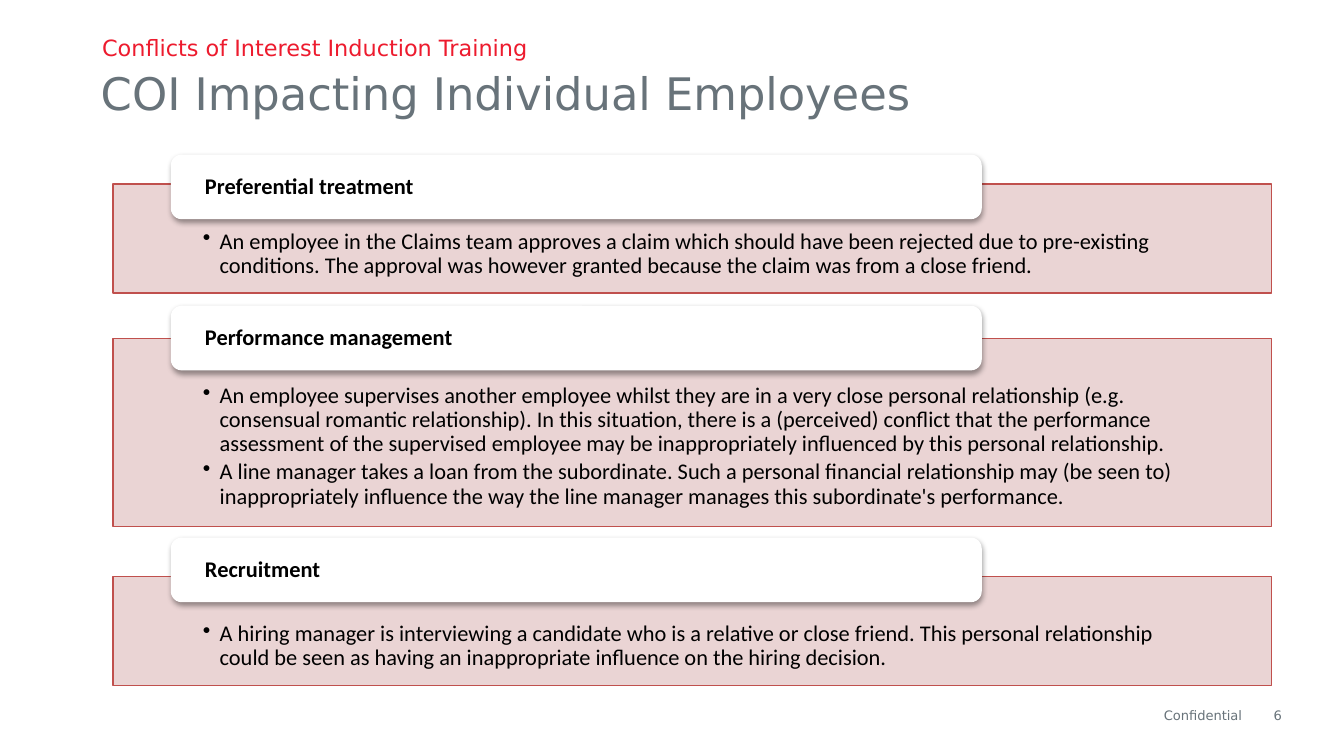
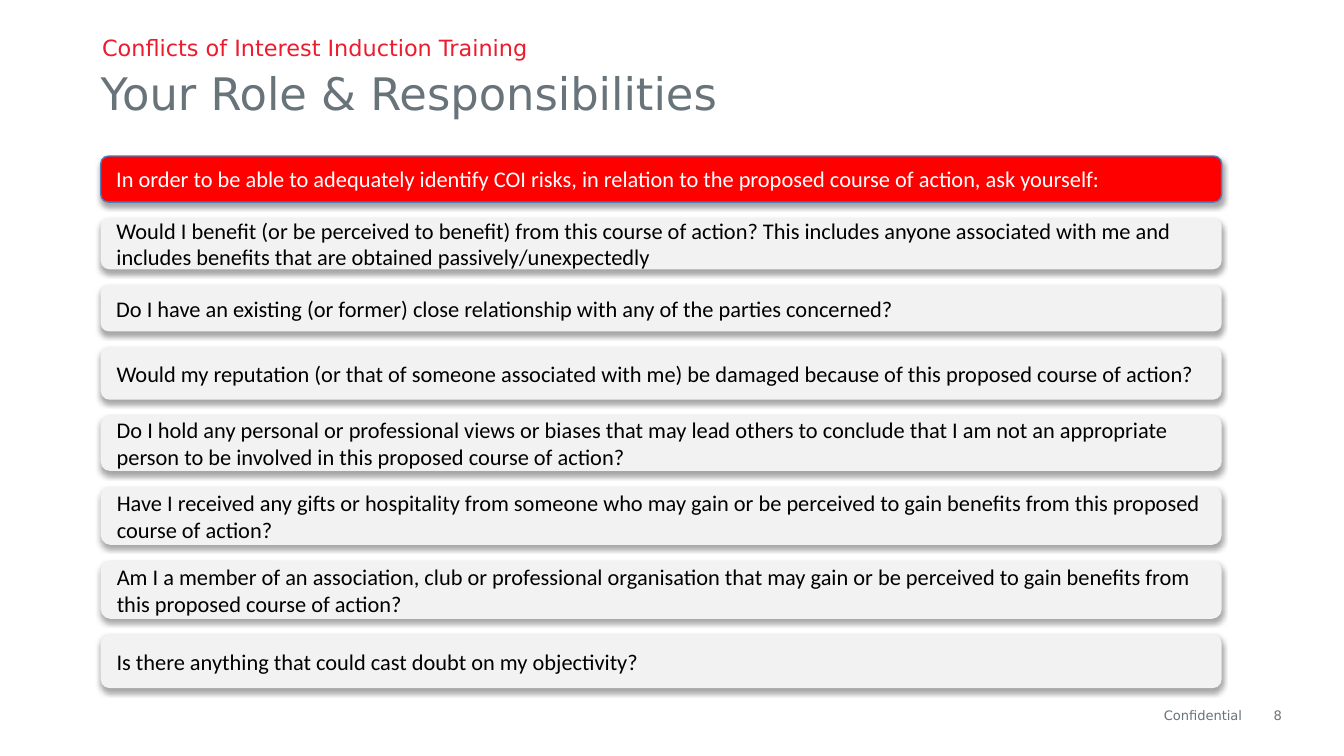
from dataclasses import dataclass

from lxml.etree import SubElement
from pptx import Presentation
from pptx.dml.color import RGBColor
from pptx.enum.shapes import MSO_SHAPE
from pptx.enum.text import MSO_ANCHOR, PP_ALIGN
from pptx.oxml.ns import qn
from pptx.util import Pt


@dataclass(frozen=True)
class Theme:
    title_font: str = "DejaVu Sans"
    body_font: str = "Calibri"
    title_size: float = 24
    text_size: float = 12
    footer_size: float = 7
    grey: str = "68737A"
    brand_red: str = "ED1B2E"
    black: str = "000000"
    white: str = "FFFFFF"
    panel_fill: str = "E8D0D0"
    panel_line: str = "C0504D"
    question_fill: str = "F2F2F2"
    prompt_fill: str = "FF0000"
    prompt_line: str = "4B7EBC"


THEME = Theme()
STRAPLINE = "Conflicts of Interest Induction Training"
FOOTER = "Confidential"

PANEL_LEFT, PANEL_WIDTH = 60.5, 620.6
EXAMPLES = [
    ("Preferential treatment", 82.8, 15.8, 58.3, [
        "An employee in the Claims team approves a claim which should have been rejected due to "
        "pre-existing conditions. The approval was however granted because the claim was from a "
        "close friend.",
    ]),
    ("Performance management", 163.8, 17.6, 100.8, [
        "An employee supervises another employee whilst they are in a very close personal "
        "relationship (e.g. consensual romantic relationship). In this situation, there is a "
        "(perceived) conflict that the performance assessment of the supervised employee may be "
        "inappropriately influenced by this personal relationship.",
        "A line manager takes a loan from the subordinate. Such a personal financial relationship "
        "may (be seen to) inappropriately influence the way the line manager manages this "
        "subordinate's performance.",
    ]),
    ("Recruitment", 288, 20.9, 58.3, [
        "A hiring manager is interviewing a candidate who is a relative or close friend. This "
        "personal relationship could be seen as having an inappropriate influence on the hiring "
        "decision.",
    ]),
]

PROMPT = ("In order to be able to adequately identify COI risks, in relation to the proposed "
          "course of action, ask yourself:", 24.7)
QUESTIONS = [
    ("Would I benefit (or be perceived to benefit) from this course of action? This includes "
     "anyone associated with me and includes benefits that are obtained passively/unexpectedly",
     27.6),
    ("Do I have an existing (or former) close relationship with any of the parties concerned?",
     24.8),
    ("Would my reputation (or that of someone associated with me) be damaged because of this "
     "proposed course of action?", 28.3),
    ("Do I hold any personal or professional views or biases that may lead others to conclude "
     "that I am not an appropriate person to be involved in this proposed course of action?",
     29.7),
    ("Have I received any gifts or hospitality from someone who may gain or be perceived to gain "
     "benefits from this proposed course of action?", 31.2),
    ("Am I a member of an association, club or professional organisation that may gain or be "
     "perceived to gain benefits from this proposed course of action?", 31.2),
    ("Is there anything that could cast doubt on my objectivity?", 28.8),
]
QUESTION_GAP = 8.4


def rgb(color):
    return RGBColor.from_string(color)


def style_paragraph(paragraph, text, font, size, color, bold=False, align=PP_ALIGN.LEFT):
    paragraph.text = text
    paragraph.alignment = align
    paragraph.font.name = font
    paragraph.font.size = Pt(size)
    paragraph.font.color.rgb = rgb(color)
    paragraph.font.bold = bold


def set_insets(frame, left, top, right, bottom):
    frame.margin_left, frame.margin_top = Pt(left), Pt(top)
    frame.margin_right, frame.margin_bottom = Pt(right), Pt(bottom)


def add_label(slide, box, text, size, color, line_spacing, align=PP_ALIGN.LEFT, wrap=True):
    frame = slide.shapes.add_textbox(*map(Pt, box)).text_frame
    frame.word_wrap = wrap
    set_insets(frame, 0, 0, 0, 0)
    paragraph = frame.paragraphs[0]
    style_paragraph(paragraph, text, THEME.title_font, size, color, align=align)
    paragraph.line_spacing = Pt(line_spacing)


def add_box(slide, preset, box, fill, line=None):
    shape = slide.shapes.add_shape(preset, *map(Pt, box))
    shape.shadow.inherit = False
    shape.fill.solid()
    shape.fill.fore_color.rgb = rgb(fill)
    if line:
        shape.line.color.rgb = rgb(line)
        shape.line.width = Pt(0.75)
    else:
        shape.line.fill.background()
    shape.text_frame.word_wrap = True
    return shape


def add_shadow(shape, distance, opacity):
    effects = shape._element.spPr.find(qn("a:effectLst"))
    shadow = SubElement(effects, qn("a:outerShdw"), blurRad=str(Pt(3.1)), dist=str(Pt(distance)),
                        dir=str(90 * 60000), rotWithShape="0")
    color = SubElement(shadow, qn("a:srgbClr"), val=THEME.black)
    SubElement(color, qn("a:alpha"), val=str(opacity * 1000))


def add_bullet(paragraph, indent):
    properties = paragraph._p.get_or_add_pPr()
    properties.set("marL", str(Pt(indent)))
    properties.set("indent", str(-Pt(indent)))
    SubElement(properties, qn("a:buChar"), char="•")


def add_card(slide, box, text, fill, color, line=None, bold=False, distance=1.8, opacity=35):
    card = add_box(slide, MSO_SHAPE.ROUNDED_RECTANGLE, box, fill, line)
    add_shadow(card, distance, opacity)
    frame = card.text_frame
    frame.vertical_anchor = MSO_ANCHOR.MIDDLE
    style_paragraph(frame.paragraphs[0], text, THEME.body_font, THEME.text_size, color, bold)
    return frame


def add_example(slide, box, heading, panel_offset, bullets):
    left, top, width, height = box
    panel = add_box(slide, MSO_SHAPE.RECTANGLE, (left, top + panel_offset, width, height),
                    THEME.panel_fill, THEME.panel_line)
    color = panel._element.spPr.find(qn("a:solidFill"))[0]
    SubElement(color, qn("a:alpha"), val="90000")
    frame = panel.text_frame
    frame.vertical_anchor = MSO_ANCHOR.TOP
    set_insets(frame, 48.2, 24.5, 48.2, 6.5)
    for index, bullet in enumerate(bullets):
        paragraph = frame.add_paragraph() if index else frame.paragraphs[0]
        add_bullet(paragraph, 9)
        style_paragraph(paragraph, bullet, THEME.body_font, THEME.text_size, THEME.black)
        paragraph.line_spacing = 0.9
        paragraph.space_after = Pt(2)

    heading_frame = add_card(slide, (left + width * 0.05, top, width * 0.7, 34.6), heading,
                             THEME.white, THEME.black, bold=True, distance=1.6, opacity=38)
    set_insets(heading_frame, 16.6, 0, 16.6, 0)
    heading_frame.paragraphs[0].line_spacing = 0.9


def add_frame(presentation, title, number):
    slide = presentation.slides.add_slide(presentation.slide_layouts[6])
    add_label(slide, (623.5, 379.4, 42, 8), FOOTER, THEME.footer_size, THEME.grey, 8, wrap=False)
    add_label(slide, (674.6, 379.4, 12.2, 8), number, THEME.footer_size, THEME.grey, 8,
              PP_ALIGN.RIGHT, wrap=False)
    add_label(slide, (54, 36, 566.6, 23), title, THEME.title_size, THEME.grey, 28)
    add_label(slide, (54.7, 20.9, 566, 11.5), STRAPLINE, THEME.text_size, THEME.brand_red, 12)
    return slide


def add_examples_slide(presentation):
    slide = add_frame(presentation, "COI Impacting Individual Employees", "6")
    for heading, top, panel_offset, height, bullets in EXAMPLES:
        add_example(slide, (PANEL_LEFT, top, PANEL_WIDTH, height), heading, panel_offset, bullets)


def add_question_stack(slide, left, top, width):
    text, height = PROMPT
    add_card(slide, (left, top, width, height), text, THEME.prompt_fill, THEME.white,
             THEME.prompt_line)
    for question, question_height in QUESTIONS:
        top += height + QUESTION_GAP
        height = question_height
        add_card(slide, (left, top, width, height), question, THEME.question_fill, THEME.black)


def add_questions_slide(presentation):
    slide = add_frame(presentation, "Your Role & Responsibilities", "8")
    add_question_stack(slide, 54, 83.6, 600.5)


def main():
    presentation = Presentation()
    presentation.slide_width, presentation.slide_height = Pt(720), Pt(405)
    add_examples_slide(presentation)
    add_questions_slide(presentation)
    presentation.save("out.pptx")


if __name__ == "__main__":
    main()
